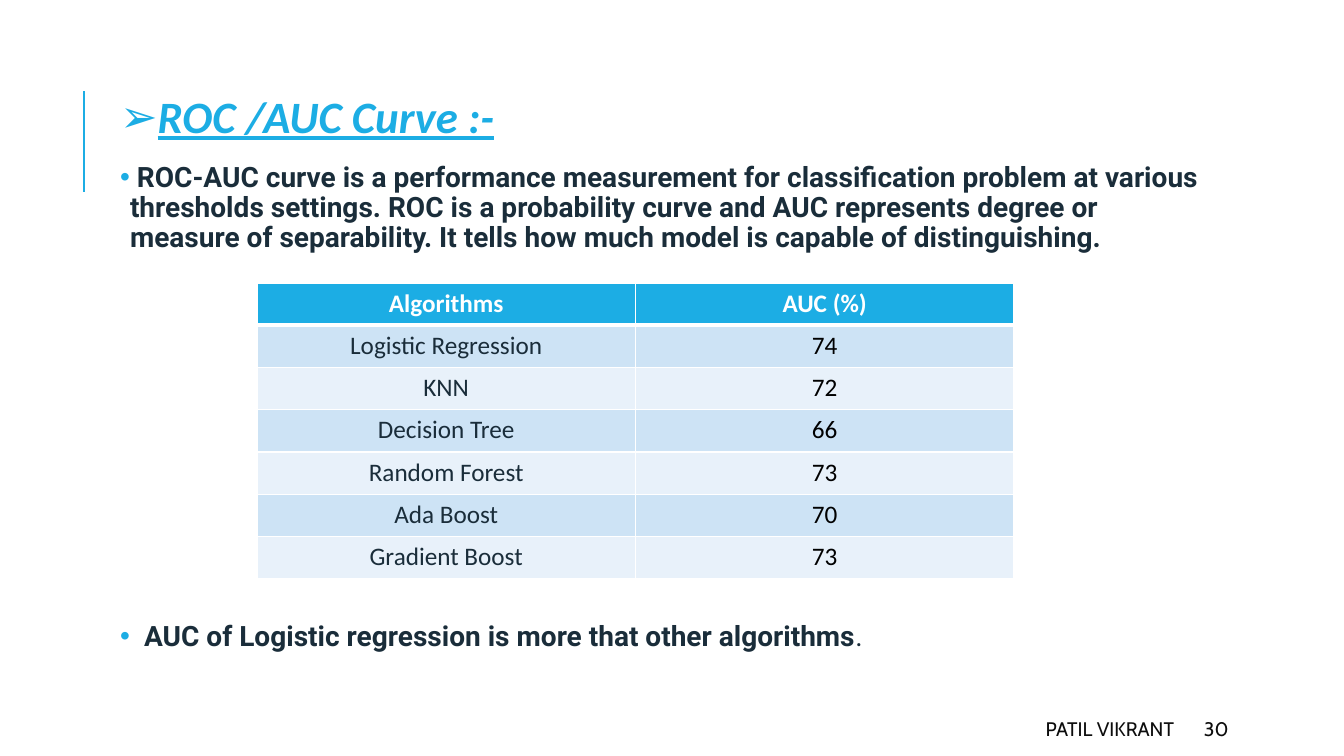
from pptx import Presentation
from pptx.dml.color import RGBColor
from pptx.enum.shapes import MSO_CONNECTOR as Conn
from pptx.enum.text import MSO_ANCHOR as Anchor, MSO_AUTO_SIZE as Auto, PP_ALIGN as Align
from pptx.oxml import parse_xml
from pptx.oxml.ns import nsdecls
from pptx.util import Emu, Pt

SCALE = 914400 / 100.8
BLUE, INK, BLACK, WHITE = "1CADE4", "1A2D3A", "000000", "FFFFFF"
BANDS = ["CDE3F5", "E8F1FA"]
ROWS = [
    ("Algorithms", "AUC (%)"),
    ("Logistic Regression", "74"),
    ("KNN", "72"),
    ("Decision Tree", "66"),
    ("Random Forest", "73"),
    ("Ada Boost", "70"),
    ("Gradient Boost", "73"),
]
INTRO = (" ROC-AUC curve is a performance measurement for classification problem "
         "at various thresholds settings. ROC is a probability curve and AUC "
         "represents degree or measure of separability. It tells how much model "
         "is capable of distinguishing.")


def px(n):
    return Emu(round(n * SCALE))


def color(code):
    return RGBColor.from_string(code)


def style(run, font, size, code, bold=False):
    run.font.name, run.font.size, run.font.bold = font, Pt(size), bold
    run.font.color.rgb = color(code)


def node(xml):
    return parse_xml(xml.replace(" ", f" {nsdecls('a')} ", 1))


def bullet(par, char, indent):
    par.line_spacing = 0.9
    par.space_before = Pt(0)
    props = par._p.get_or_add_pPr()
    props.set("marL", str(px(indent)))
    props.set("indent", str(-px(indent)))
    props.append(node(f'<a:buClr ><a:srgbClr val="{BLUE}"/></a:buClr>'))
    props.append(node('<a:buFont typeface="Arial"/>'))
    props.append(node(f'<a:buChar char="{char}"/>'))


def inset(frame):
    frame.margin_left = frame.margin_right = px(5)
    frame.margin_top = frame.margin_bottom = px(5)
    frame.vertical_anchor = Anchor.TOP


def add_title(slide, text, x, y, w, h):
    title = slide.shapes.title
    title.left, title.top, title.width, title.height = map(px, (x, y, w, h))
    frame = title.text_frame
    frame.text = text
    frame.auto_size = Auto.NONE
    inset(frame)
    par = frame.paragraphs[0]
    par.alignment = Align.LEFT
    bullet(par, "➢", 10)
    run = par.runs[0]
    style(run, "Calibri", 32, BLUE, True)
    run.font.italic = run.font.underline = True


def add_text(slide, text, x, y, w, h):
    frame = slide.shapes.add_textbox(*map(px, (x, y, w, h))).text_frame
    frame.word_wrap = True
    frame.text = text
    return frame


def add_point(slide, text, y, h, indent):
    frame = add_text(slide, text, 115, y, 1101, h)
    inset(frame)
    par = frame.paragraphs[0]
    bullet(par, "•", indent)
    style(par.runs[0], "Roboto", 20, INK, True)
    return par


def add_foot(slide, text, x, w, align):
    frame = add_text(slide, text, x, 714, w, 30)
    frame.vertical_anchor = Anchor.MIDDLE
    par = frame.paragraphs[0]
    par.alignment = align
    style(par.runs[0], "Cabin", 14, "0D0D0D")


def add_rule(slide, x, top, end):
    rule = slide.shapes.add_connector(Conn.STRAIGHT, px(x), px(end), px(x), px(top))
    rule.line.color.rgb = color(BLUE)
    rule.line.width = Pt(1.5)
    rule._element.spPr.append(node("<a:effectLst />"))


def edge(cell, widths):
    props = cell._tc.get_or_add_tcPr()
    for i, (side, width) in enumerate(zip("LRTB", widths)):
        props.insert(i, node(f'<a:ln{side} w="{Pt(width)}"><a:solidFill>'
                             f'<a:srgbClr val="{WHITE}"/></a:solidFill></a:ln{side}>'))


def add_scores(slide, rows, x, y, w, h):
    table = slide.shapes.add_table(len(rows), 2, *map(px, (x, y, w, h))).table
    for r, row in enumerate(rows):
        head = r == 0
        for c, text in enumerate(row):
            cell = table.cell(r, c)
            cell.text = text
            cell.fill.solid()
            cell.fill.fore_color.rgb = color(BLUE if head else BANDS[(r - 1) % 2])
            edge(cell, (1, 1, 3 if r == 1 else 1, 3 if head else 1))
            par = cell.text_frame.paragraphs[0]
            par.alignment = Align.CENTER
            style(par.runs[0], "Calibri", 18, WHITE if head else (INK, BLACK)[c], head)


def main():
    deck = Presentation()
    deck.slide_width, deck.slide_height = px(1344), px(756)
    slide = deck.slides.add_slide(deck.slide_layouts[5])

    # Heading with its side rule
    add_rule(slide, 84, 91, 192)
    add_title(slide, "ROC /AUC Curve :-", 115, 90, 1101, 62)

    # Definition, scores and finding
    add_point(slide, INTRO, 158, 105, 10)
    add_scores(slide, ROWS, 257, 283, 757, 296)
    note = add_point(slide, "AUC of Logistic regression is more that other algorithms",
                     617, 42, 24)
    stop = note.add_run()
    stop.text = "."
    style(stop, "Roboto", 20, INK)

    # Footer
    add_foot(slide, "PATIL VIKRANT", 534, 650, Align.RIGHT)
    add_foot(slide, "30", 1194, 107, Align.LEFT)
    deck.save("out.pptx")


if __name__ == "__main__":
    main()
